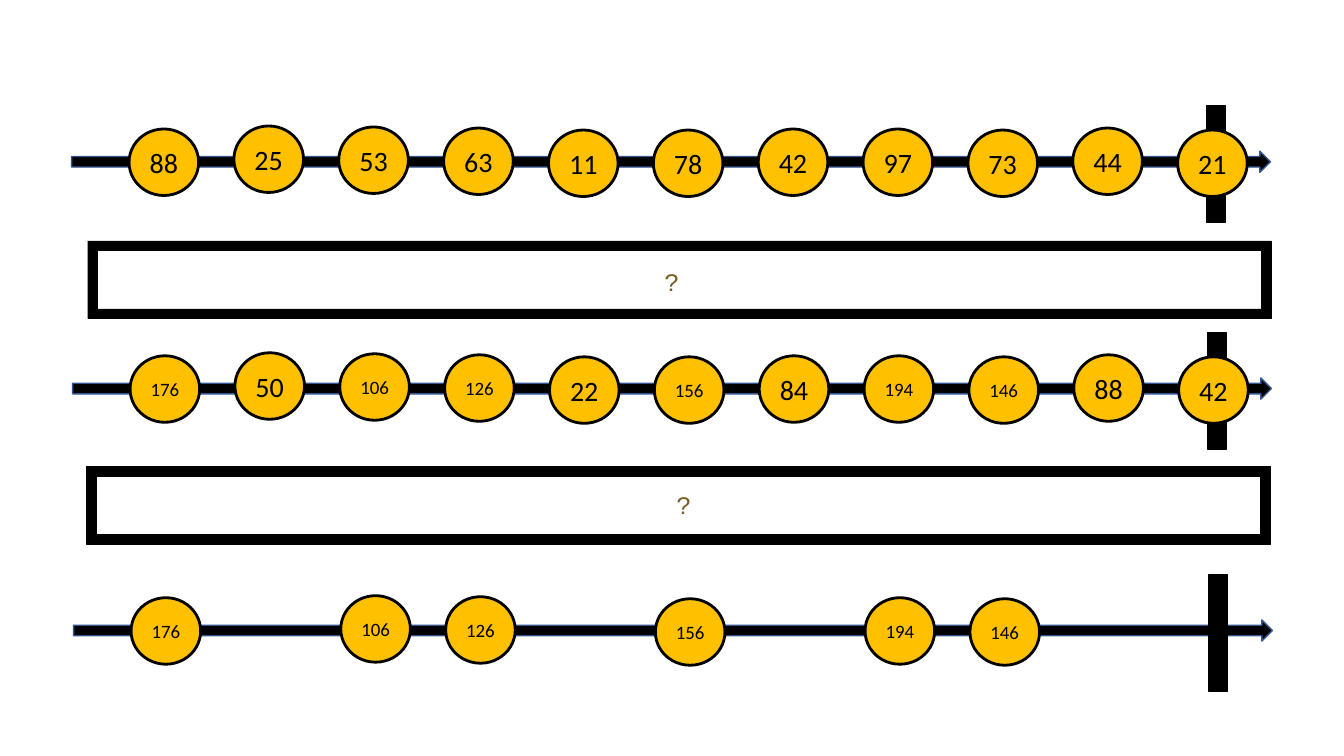
from pptx import Presentation
from pptx.dml.color import RGBColor
from pptx.enum import shapes, text
from pptx.util import Inches, Pt

BLACK = RGBColor(0x00, 0x00, 0x00)
AMBER = RGBColor(0xFF, 0xC0, 0x00)
ARROW_EDGE = RGBColor(0x32, 0x54, 0x91)
CODE_BROWN = RGBColor(0x79, 0x5E, 0x26)

MARBLE_PITCH = 1.04
# Small vertical offset of each marble column from its row
MARBLE_SHIFTS = [0, -0.03, -0.02, -0.01, 0.01, 0.01, 0, 0, 0.01, -0.01, 0.01]

prs = Presentation()
prs.slide_width = Inches(13.33)
prs.slide_height = Inches(7.5)
slide = prs.slides.add_slide(prs.slide_layouts[6])


def add_filled(kind, box, fill, edge, edge_width):
    shape = slide.shapes.add_shape(kind, *[Inches(length) for length in box])
    shape.shadow.inherit = False
    shape.fill.solid()
    shape.fill.fore_color.rgb = fill
    shape.line.color.rgb = edge
    shape.line.width = Pt(edge_width)
    return shape


def style_text(paragraph, font_name, size, color):
    font = paragraph.runs[0].font
    font.name = font_name
    font.size = Pt(size)
    font.color.rgb = color


# Marble streams: source, doubled values, values above 100 (None leaves a gap)
source = [88, 25, 53, 63, 11, 78, 42, 97, 73, 44, 21]
doubled = [2 * value for value in source]
filtered = [value if value > 100 else None for value in doubled]

for left, top, values in [(0.71, 1.5, source), (0.72, 3.75, doubled), (0.73, 6.15, filtered)]:
    add_filled(shapes.MSO_SHAPE.RIGHT_ARROW, (left, top, 11.89, 0.21), BLACK, ARROW_EDGE, 1)
    add_filled(shapes.MSO_SHAPE.RECTANGLE, (left + 11.26, top - 0.45, 0.18, 1.16), BLACK, BLACK, 1)
    for column, (value, shift) in enumerate(zip(values, MARBLE_SHIFTS)):
        if value is None:
            continue
        box = (left + 0.57 + column * MARBLE_PITCH, top - 0.22 + shift, 0.69, 0.66)
        marble = add_filled(shapes.MSO_SHAPE.OVAL, box, AMBER, BLACK, 2)
        marble.text_frame.text = str(value)
        marble.text_frame.vertical_anchor = text.MSO_ANCHOR.MIDDLE
        number = marble.text_frame.paragraphs[0]
        number.alignment = text.PP_ALIGN.CENTER
        style_text(number, "Calibri", 13.5 if value > 99 else 20, BLACK)

# Unknown operators between the streams
for frame_left, frame_top, mark_left, mark_top in [(0.87, 2.39, 6.49, 2.59), (0.86, 4.63, 6.61, 4.81)]:
    add_filled(shapes.MSO_SHAPE.FRAME, (frame_left, frame_top, 11.74, 0.77), BLACK, BLACK, 0.25)
    question = slide.shapes.add_textbox(Inches(mark_left), Inches(mark_top), Inches(0.4), Inches(0.4))
    question.text_frame.word_wrap = True
    question.text_frame.text = "?"
    style_text(question.text_frame.paragraphs[0], "Courier New", 18, CODE_BROWN)

prs.save("out.pptx")
